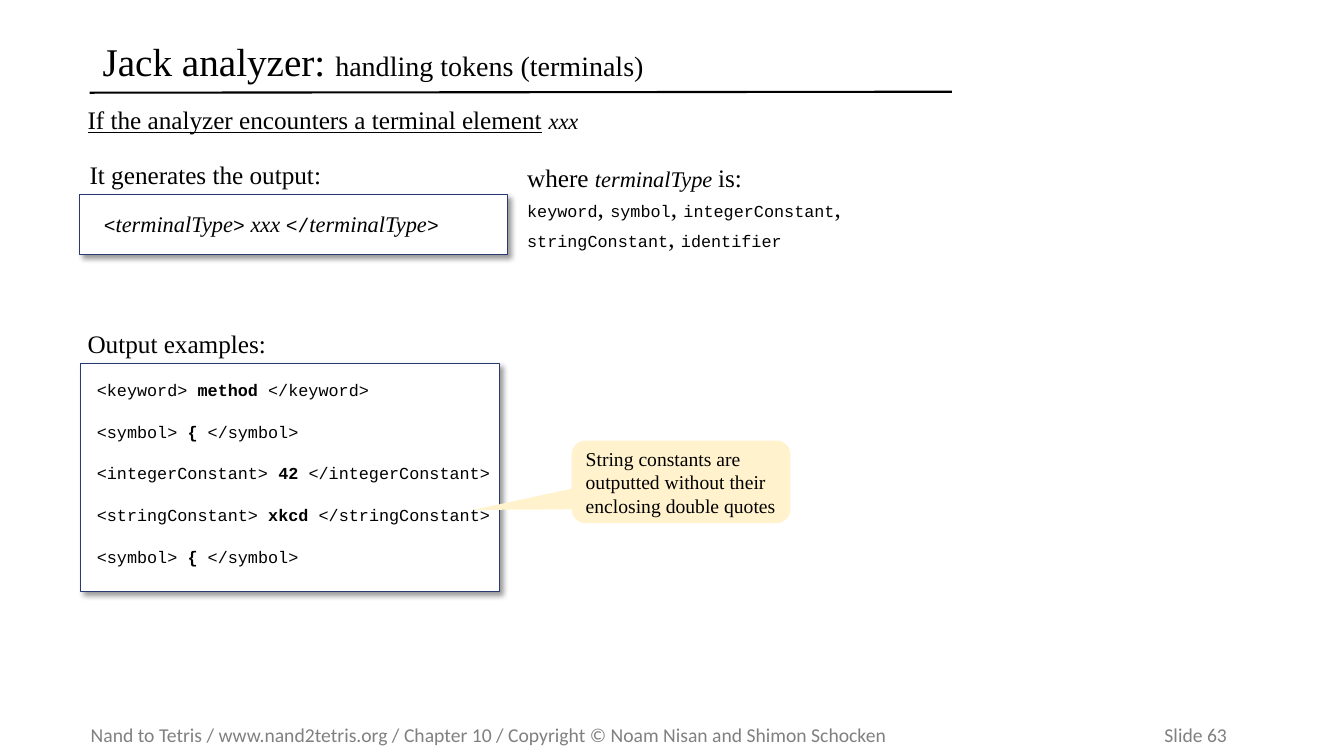
from lxml import etree
from pptx import Presentation, util as u
from pptx.dml.color import RGBColor
from pptx.enum import shapes, text
from pptx.oxml.ns import qn

BLACK = RGBColor(0x00, 0x00, 0x00)
WHITE = RGBColor(0xFF, 0xFF, 0xFF)
NAVY = RGBColor(0x29, 0x39, 0x73)
CREAM = RGBColor(0xFF, 0xF2, 0xCC)
GRAY = RGBColor(0x80, 0x80, 0x80)
SERIF, MONO, SANS = "Times New Roman", "Courier New", "Calibri"
CELL = u.Inches(0.1)  # side of one square of the layout grid

deck = Presentation()
deck.slide_width, deck.slide_height = u.Inches(13.33), u.Inches(7.5)
page = deck.slides.add_slide(deck.slide_layouts[6])


def add_box(column, row, columns, rows, preset=None, fill=WHITE, line=None,
            margins=(1, 0.5, 1, 0.5), anchor=text.MSO_ANCHOR.TOP):
    """Place a text box, or a preset shape, in grid cells."""
    place = [int(cells * CELL) for cells in (column, row, columns, rows)]
    if preset is None:
        box = page.shapes.add_textbox(*place)
    else:
        box = page.shapes.add_shape(preset, *place)
        box.shadow.inherit = False
        box.fill.solid()
        box.fill.fore_color.rgb = fill
        if line is None:
            box.line.fill.background()
        else:
            box.line.color.rgb = line
            box.line.width = u.Pt(0.75)
            effects = box._element.spPr.find(qn("a:effectLst"))
            shadow = etree.SubElement(
                effects, qn("a:outerShdw"), blurRad=str(u.Pt(4)), dist=str(u.Pt(3)),
                dir=str(45 * 60000), algn="tl", rotWithShape="0")
            color = etree.SubElement(shadow, qn("a:srgbClr"), val=str(BLACK))
            etree.SubElement(color, qn("a:alpha"), val="40000")
    frame = box.text_frame
    frame.word_wrap = True
    frame.vertical_anchor = anchor
    (frame.margin_left, frame.margin_top,
     frame.margin_right, frame.margin_bottom) = [int(cells * CELL) for cells in margins]
    frame.paragraphs[0].alignment = text.PP_ALIGN.LEFT
    return box


def add_span(para, words, size=18, font=SERIF, color=BLACK, **style):
    span = para.add_run()
    span.text = words
    span.font.size, span.font.name = u.Pt(size), font
    span.font.color.rgb = color
    for name, value in style.items():
        setattr(span.font, name, value)


# Footer, with the slide number on a right tab
footer = add_box(9, 71.2, 122.5, 3.4, margins=(0, 0.5, 0, 0.5), anchor=text.MSO_ANCHOR.MIDDLE)
para = footer.text_frame.paragraphs[0]
tabs = etree.SubElement(para._p.get_or_add_pPr(), qn("a:tabLst"))
etree.SubElement(tabs, qn("a:tab"), pos=str(int(112.7 * CELL)), algn="r")
add_span(para, "Nand to Tetris / www.nand2tetris.org / Chapter 10 / "
         "Copyright © Noam Nisan and Shimon Schocken\tSlide 63", 14, SANS, GRAY)

# Title and its rule
rule = page.shapes.add_connector(
    shapes.MSO_CONNECTOR.STRAIGHT,
    *[int(cells * CELL) for cells in (8.9, 9.2, 94.4, 9.1)])
rule.line.color.rgb = BLACK
rule.line.width = u.Pt(1.5)
etree.SubElement(rule._element.spPr, qn("a:effectLst"))

title = add_box(9.2, 3.2, 85.3, 6.3, anchor=text.MSO_ANCHOR.MIDDLE)
para = title.text_frame.paragraphs[0]
para.line_spacing = 0.9
add_span(para, "Jack analyzer: ", 28)
add_span(para, "handling tokens (terminals)", 20)

# Headings
condition = add_box(7.7, 9.9, 84.4, 4).text_frame.paragraphs[0]
add_span(condition, "If the analyzer encounters a terminal element", underline=True)
add_span(condition, " ")
add_span(condition, "xxx", 16, italic=True)
for column, row, heading in [(7.9, 15.3, "It generates the output:"),
                             (7.7, 32.1, "Output examples:")]:
    add_span(add_box(column, row, 50.9, 4).text_frame.paragraphs[0], heading)

# Output pattern
pattern = add_box(7.9, 19.3, 42.4, 6, shapes.MSO_SHAPE.RECTANGLE, line=NAVY,
                  margins=(2.4, 1.6, 0, 1.5)).text_frame.paragraphs[0]
for bracket, word in [("<", "terminalType"), (">", " xxx "), ("</", "terminalType"), (">", "")]:
    add_span(pattern, bracket, 14, MONO)
    if word:
        add_span(pattern, word, 16, italic=True)

# Terminal types
types = add_box(51.3, 15.6, 41, 14).text_frame
para = types.paragraphs[0]
add_span(para, "where ")
add_span(para, "terminalType ", 16, italic=True)
add_span(para, "is:")
para = types.add_paragraph()
for index, name in enumerate(
        ["keyword", "symbol", "integerConstant", "stringConstant", "identifier"]):
    if index:
        add_span(para, ", ")
    add_span(para, name, 12, MONO)

# Output examples
examples = add_box(8, 36.1, 41.5, 22.6, shapes.MSO_SHAPE.RECTANGLE, line=NAVY,
                   margins=(1.6, 1.6, 0, 1.5)).text_frame
for index, (tag, value) in enumerate([
        ("keyword", "method"), ("symbol", "{"), ("integerConstant", "42"),
        ("stringConstant", "xkcd"), ("symbol", "{")]):
    para = examples.add_paragraph() if index else examples.paragraphs[0]
    para.alignment = text.PP_ALIGN.LEFT
    if index:
        para.space_before = u.Pt(15.3)
    add_span(para, f"<{tag}> ", 12, MONO)
    add_span(para, value, 12, MONO, bold=True)
    add_span(para, f" </{tag}>", 12, MONO)

# Callout
callout = add_box(56.7, 43.7, 21.7, 8.2, shapes.MSO_SHAPE.ROUNDED_RECTANGULAR_CALLOUT,
                  fill=CREAM, margins=(1, 0.5, 0, 0.5), anchor=text.MSO_ANCHOR.MIDDLE)
for index, share in enumerate([-0.95, 0.34, 0.17]):
    callout.adjustments[index] = share
add_span(callout.text_frame.paragraphs[0],
         "String constants are outputted without their enclosing double quotes", 14)

deck.save("out.pptx")
